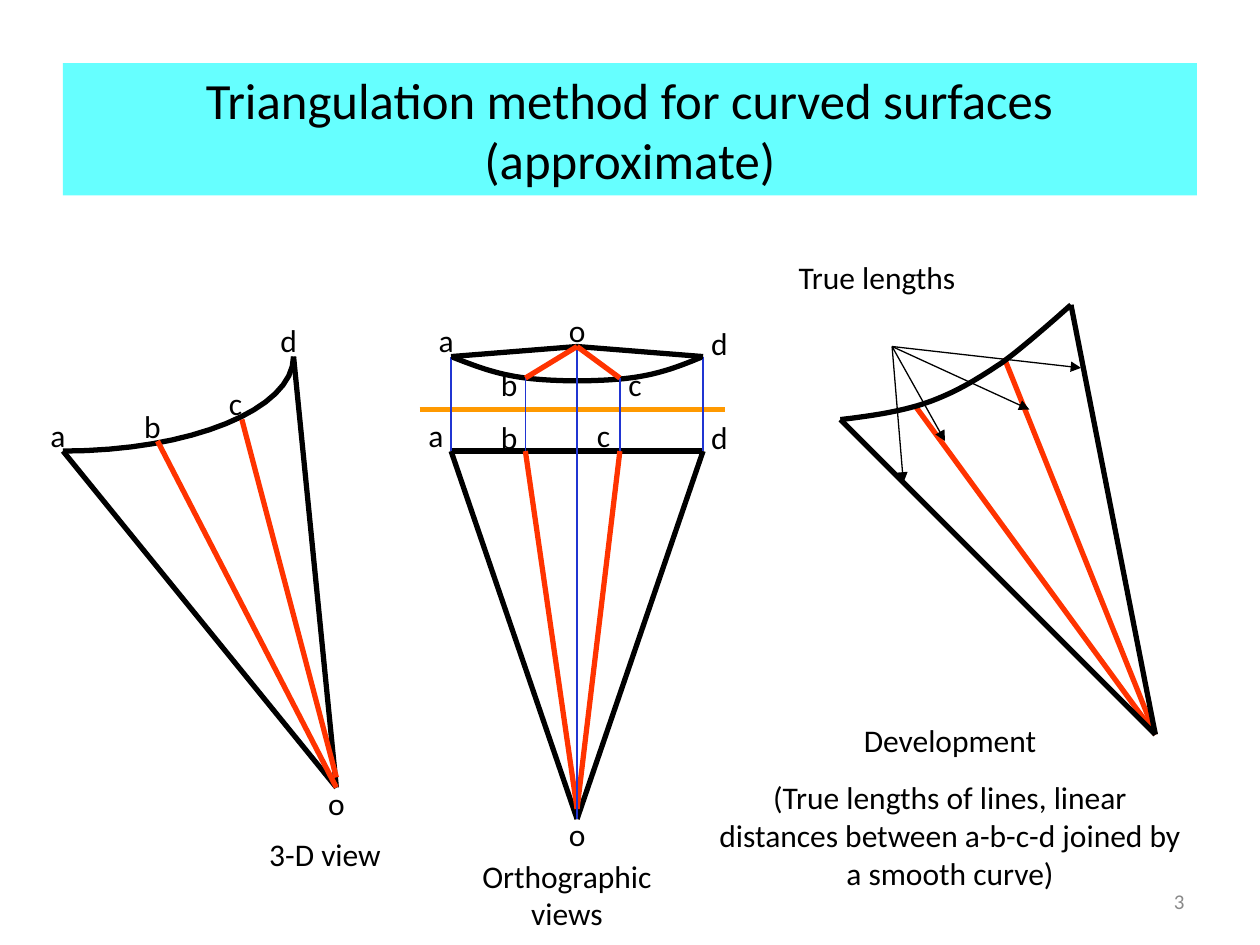
import pptx
import pptx.util
import pptx.dml.color
import pptx.enum.shapes
import pptx.enum.text
import pptx.oxml
import pptx.oxml.ns

Inches, Pt = pptx.util.Inches, pptx.util.Pt
ALIGN = pptx.enum.text.PP_ALIGN
ANCHOR = pptx.enum.text.MSO_ANCHOR

COLORS = {"black": "000000", "red": "FF3300", "blue": "2035D2",
          "orange": "FF9900", "cyan": "66FFFF", "gray": "898989"}
THICK, THIN = 3, 0.75
FONT = "Calibri"

# Content: vertices of each view, in inches
TITLE = "Triangulation method for curved surfaces (approximate)"
SOLID = {"a": (0.5, 3.58), "b": (1.25, 3.5), "c": (1.92, 3.33),
         "d": (2.33, 2.83), "o": (2.67, 6.25), "o_inner": (2.67, 6.17)}
FRONT = {"a": (3.58, 3.58), "b": (4.17, 3.58), "c": (4.92, 3.58),
         "d": (5.58, 3.58), "o": (4.58, 6.5), "o_inner": (4.58, 6.42)}
TOP = {"a": (3.58, 2.83), "b": (4.17, 3), "c": (4.92, 3),
       "d": (5.58, 2.83), "o": (4.58, 2.75)}
PATTERN = {"a": (6.67, 3.33), "b": (7.27, 3.23), "c": (7.97, 2.84),
           "d": (8.5, 2.42), "o": (9.17, 5.83)}
FOLD_LINE = ((3.33, 3.25), (5.75, 3.25))
ARROW_START = (7.08, 2.75)
ARROW_ENDS = [(7.17, 3.83), (8.17, 3.25), (8.58, 2.92), (7.5, 3.5)]

# Each curve: start, then (control, control, end) for every Bezier piece
SOLID_CURVE = (SOLID["a"], [((1.51, 3.58), (2.33, 3.25), SOLID["d"])])
TOP_CURVE = (TOP["a"], [((3.76, 2.9), (3.93, 2.97), (4.17, 3)),
                        ((4.4, 3.03), (4.76, 3.03), (5, 3)),
                        ((5.24, 2.97), (5.41, 2.9), TOP["d"])])
PATTERN_CURVE = (PATTERN["a"], [((6.93, 3.3), (7.19, 3.26), (7.4, 3.18)),
                                ((7.61, 3.1), (7.77, 3), (7.95, 2.88)),
                                ((8.13, 2.75), (8.42, 2.49), PATTERN["d"])])

# Vertex labels: letter, centre x, top
LABELS = [
    ("o", 2.67, 6.17), ("a", 0.46, 3.25), ("b", 1.21, 3.18), ("c", 1.87, 3), ("d", 2.29, 2.5),
    ("o", 4.58, 6.42), ("a", 3.46, 3.25), ("b", 4.04, 3.27), ("c", 4.79, 3.25), ("d", 5.71, 3.27),
    ("o", 4.58, 2.42), ("a", 3.54, 2.5), ("b", 4.04, 2.85), ("c", 5.04, 2.85), ("d", 5.71, 2.52),
]
LABEL_WIDTH = 0.58

# Captions: paragraphs, (left, top, width, height)
CAPTIONS = [
    (["3-D view"], (1.58, 6.58, 2, 0.4)),
    (["Orthographic views"], (3.5, 6.75, 2, 0.7)),
    (["Development", "(True lengths of lines, linear distances between "
      "a-b-c-d joined by a smooth curve)"], (5.58, 5.67, 3.92, 1.46)),
    (["True lengths"], (6.17, 2, 1.58, 0.4)),
]

prs = pptx.Presentation()
prs.slide_width, prs.slide_height = Inches(10), Inches(7.5)
slide = prs.slides.add_slide(prs.slide_layouts[6])
shapes = slide.shapes


def rgb(name):
    return pptx.dml.color.RGBColor.from_string(COLORS[name])


def write(shape, paragraphs, size=18, color="black", align=ALIGN.CENTER, anchor=ANCHOR.TOP):
    frame = shape.text_frame
    frame.word_wrap = True
    frame.vertical_anchor = anchor
    frame.text = "\n".join(paragraphs)
    for index, paragraph in enumerate(frame.paragraphs):
        paragraph.alignment = align
        if index:
            paragraph.space_before = Pt(11.2)
        paragraph.font.name = FONT
        paragraph.font.size = Pt(size)
        paragraph.font.color.rgb = rgb(color)


def add_text(box, paragraphs, **style):
    write(shapes.add_textbox(*map(Inches, box)), paragraphs, **style)


def add_line(start, end, color="black", width=THICK, arrow=False):
    line = shapes.add_connector(pptx.enum.shapes.MSO_CONNECTOR.STRAIGHT,
                                *map(Inches, (*start, *end)))
    line.line.color.rgb = rgb(color)
    line.line.width = Pt(width)
    if arrow:
        head = pptx.oxml.parse_xml(
            '<a:tailEnd %s type="triangle"/>' % pptx.oxml.ns.nsdecls("a"))
        line.line._get_or_add_ln().append(head)
    line._element.spPr.append(
        pptx.oxml.parse_xml("<a:effectLst %s/>" % pptx.oxml.ns.nsdecls("a")))


def add_edges(view, edges, color="black"):
    for start, end in edges:
        add_line(view[start], view[end], color)


def add_curve(start, pieces, steps=16):
    points, origin = [], start
    for piece in pieces:
        for step in range(1, steps + 1):
            t = step / steps
            weights = ((1 - t) ** 3, 3 * t * (1 - t) ** 2, 3 * t * t * (1 - t), t ** 3)
            points.append(tuple(
                Inches(sum(w * p[axis] for w, p in zip(weights, (origin, *piece))))
                for axis in (0, 1)))
        origin = piece[-1]
    builder = shapes.build_freeform(*map(Inches, start), scale=1)
    builder.add_line_segments(points, close=False)
    curve = builder.convert_to_shape()
    curve.shadow.inherit = False
    curve.fill.background()
    curve.line.color.rgb = rgb("black")
    curve.line.width = Pt(THICK)


# Title band and slide number
band = shapes.add_shape(pptx.enum.shapes.MSO_SHAPE.RECTANGLE,
                        *map(Inches, (0.5, 0.5, 9, 1.05)))
band.shadow.inherit = False
band.fill.solid()
band.fill.fore_color.rgb = rgb("cyan")
band.line.fill.background()
write(band, [TITLE], size=29, anchor=ANCHOR.MIDDLE)
add_text((7.17, 6.95, 2.33, 0.4), ["3"], size=12, color="gray",
         align=ALIGN.RIGHT, anchor=ANCHOR.MIDDLE)

# 3-D view
add_curve(*SOLID_CURVE)
add_edges(SOLID, [("a", "o"), ("o", "d")])
add_edges(SOLID, [("o", "b"), ("o_inner", "c")], "red")

# Orthographic views: front, projectors, then top
add_edges(FRONT, [("a", "o"), ("o", "d"), ("a", "d")])
add_line(*FOLD_LINE, "orange")
add_curve(*TOP_CURVE)
add_edges(FRONT, [("o_inner", "b"), ("o_inner", "c")], "red")
for vertex in TOP:
    add_line(FRONT[vertex], TOP[vertex], "blue", THIN)
add_edges(TOP, [("a", "o"), ("o", "d")])
add_edges(TOP, [("b", "o"), ("c", "o")], "red")

# Development
add_edges(PATTERN, [("o", "c"), ("o", "b")], "red")
add_edges(PATTERN, [("a", "o"), ("d", "o")])
add_curve(*PATTERN_CURVE)
for arrow_end in ARROW_ENDS:
    add_line(ARROW_START, arrow_end, width=THIN, arrow=True)

# Vertex labels and captions
for letter, center, top in LABELS:
    add_text((center - LABEL_WIDTH / 2, top, LABEL_WIDTH, 0.4), [letter])
for paragraphs, box in CAPTIONS:
    add_text(box, paragraphs)

prs.save("out.pptx")
